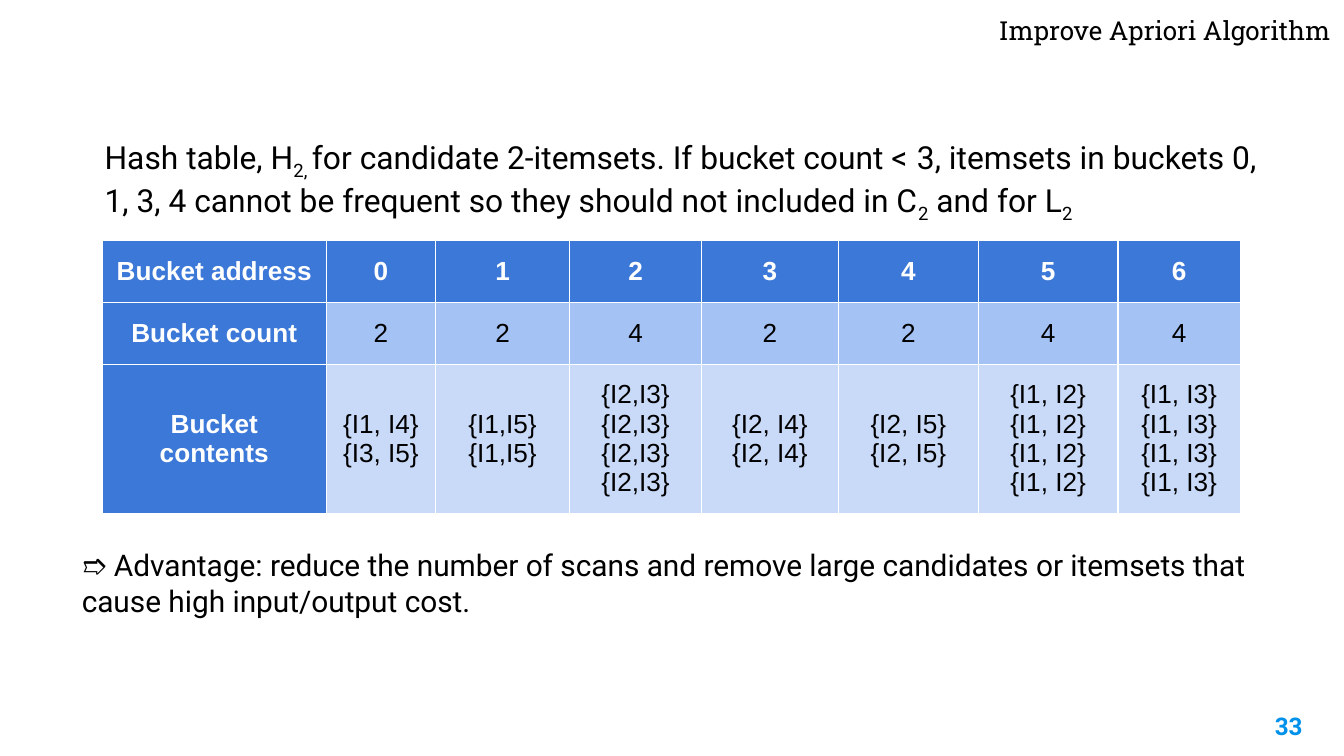
"""Build the slide on hash buckets for the improved Apriori algorithm."""
from lxml import etree
from pptx import Presentation
from pptx.dml.color import RGBColor
from pptx.enum.text import MSO_ANCHOR, PP_ALIGN
from pptx.oxml.ns import qn
from pptx.util import Inches, Pt

LEFT, CENTER, RIGHT = PP_ALIGN.LEFT, PP_ALIGN.CENTER, PP_ALIGN.RIGHT
MIDDLE = MSO_ANCHOR.MIDDLE
BLACK, WHITE, HEADER = "000000", "FFFFFF", "3C78D8"
ROW_FILLS = [HEADER, "A4C2F4", "C9DAF8"]
COLUMN_WIDTHS = [1.67, 0.81, 1, 0.98, 1.02, 1.04, 1.04, 0.91]
ROW_HEIGHTS = [0.46, 0.46, 1.11]
CONTENTS = [
    ["{I1, I4}", "{I3, I5}"],
    ["{I1,I5}"] * 2,
    ["{I2,I3}"] * 4,
    ["{I2, I4}"] * 2,
    ["{I2, I5}"] * 2,
    ["{I1, I2}"] * 4,
    ["{I1, I3}"] * 4,
]
ROWS = [
    [["Bucket address"]] + [[str(address)] for address in range(7)],
    [["Bucket count"]] + [[str(len(itemsets))] for itemsets in CONTENTS],
    [["Bucket contents"]] + CONTENTS,
]
TEXT_BOXES = [
    (0.68, 0.91, 8.98, 0.79, LEFT, [
        ("Hash table, H", {}),
        ("2, ", {"subscript": True}),
        ("for candidate 2-itemsets. If bucket count <", {}),
        (" ", {"size": 18, "font": "Lato"}),
        ("3, itemsets in buckets 0, 1, 3, 4 cannot be frequent "
         "so they should not included in C", {}),
        ("2", {"subscript": True}),
        (" and for L", {}),
        ("2", {"subscript": True}),
    ]),
    (0.51, 3.97, 8.98, 0.74, LEFT, [
        ("➱ Advantage: reduce the number of scans and remove large candidates "
         "or itemsets that cause high input/output cost.", {"size": 16}),
    ]),
    (7.28, 0.01, 2.72, 0.44, RIGHT, [
        ("Improve Apriori Algorithm", {"size": 14, "font": "Roboto Slab"}),
    ]),
    (9.19, 5.19, 0.6, 0.43, RIGHT, [
        ("33", {"size": 13, "color": "0091EA", "bold": True}),
    ]),
]


def rgb(value):
    return RGBColor.from_string(value)


def add_text(para, text, size=17, font="Roboto", color=BLACK, bold=False,
             subscript=False, align=LEFT):
    para.alignment = align
    span = para.add_run()
    span.text = text
    span.font.size = Pt(size)
    span.font.name = font
    span.font.bold = bold
    span.font.color.rgb = rgb(color)
    if subscript:
        span.font._element.set("baseline", "-25000")


deck = Presentation()
deck.slide_width = Inches(10)
deck.slide_height = Inches(10 * 9 / 16)
page = deck.slides.add_slide(deck.slide_layouts[6])

table = page.shapes.add_table(
    len(ROWS), len(COLUMN_WIDTHS), Inches(0.76), Inches(1.79),
    Inches(sum(COLUMN_WIDTHS)), Inches(sum(ROW_HEIGHTS))).table
table.horz_banding = False
for column, width in zip(table.columns, COLUMN_WIDTHS):
    column.width = Inches(width)

for row_index, (row, height) in enumerate(zip(ROWS, ROW_HEIGHTS)):
    table.rows[row_index].height = Inches(height)
    for column_index, lines in enumerate(row):
        cell = table.cell(row_index, column_index)
        is_header = row_index == 0 or column_index == 0
        cell.vertical_anchor = MIDDLE
        cell.margin_left = cell.margin_right = Inches(0.1)
        cell.margin_top = cell.margin_bottom = Inches(0.1)
        for line_index, line in enumerate(lines):
            frame = cell.text_frame
            para = frame.add_paragraph() if line_index else frame.paragraphs[0]
            add_text(para, line, size=14, font="Arial", bold=is_header,
                     color=WHITE if is_header else BLACK, align=CENTER)
        properties = cell._tc.get_or_add_tcPr()
        for side in ("a:lnL", "a:lnR", "a:lnT", "a:lnB"):
            border = etree.SubElement(properties, qn(side), w=str(Pt(0.75)))
            paint = etree.SubElement(border, qn("a:solidFill"))
            etree.SubElement(paint, qn("a:srgbClr"), val=WHITE)
        cell.fill.solid()
        cell.fill.fore_color.rgb = rgb(HEADER if is_header else ROW_FILLS[row_index])

for left, top, width, height, align, spans in TEXT_BOXES:
    box = page.shapes.add_textbox(Inches(left), Inches(top), Inches(width), Inches(height))
    frame = box.text_frame
    frame.word_wrap = True
    frame.margin_left = frame.margin_right = Inches(0.1)
    frame.margin_top = frame.margin_bottom = Inches(0.1)
    for text, style in spans:
        add_text(frame.paragraphs[0], text, align=align, **style)

deck.save("out.pptx")
